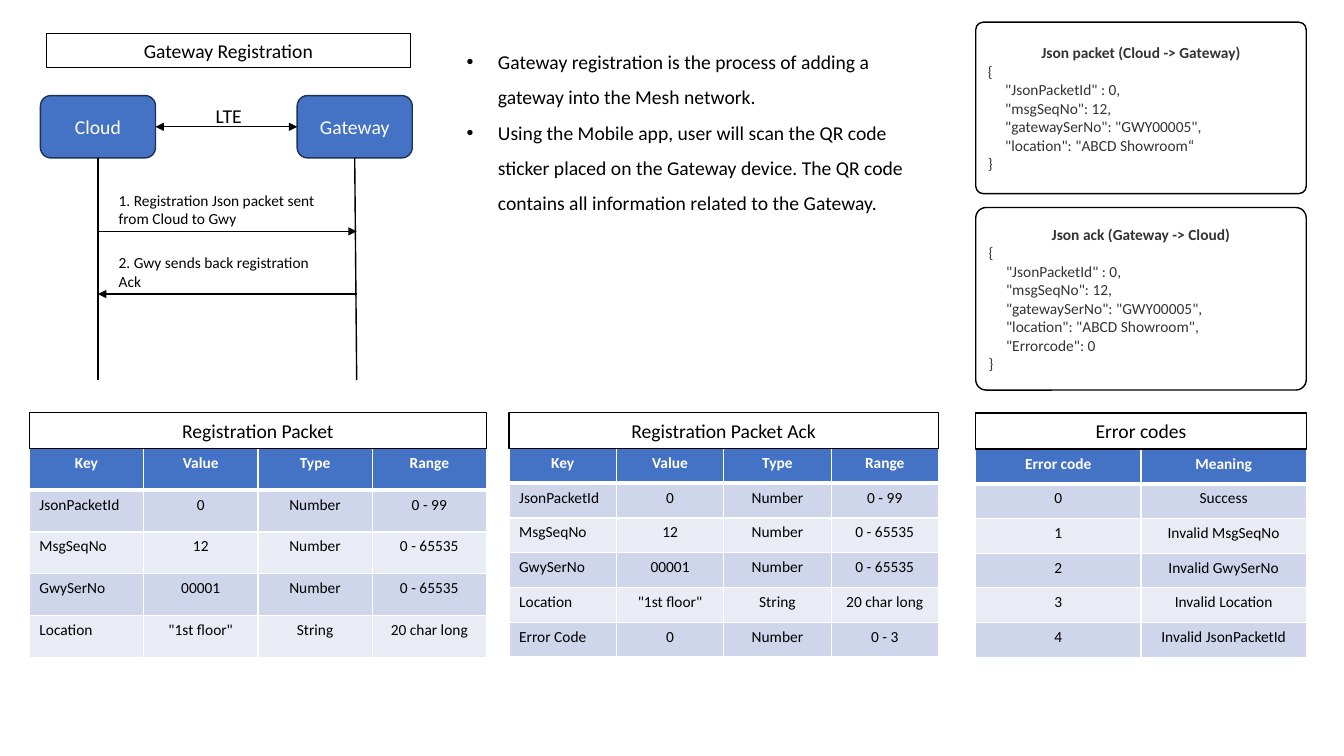
from dataclasses import dataclass

from lxml import etree
from pptx import Presentation
from pptx.dml.color import RGBColor
from pptx.enum.shapes import MSO_CONNECTOR, MSO_SHAPE
from pptx.enum.text import MSO_ANCHOR, PP_ALIGN
from pptx.oxml.ns import qn
from pptx.util import Cm, Pt

RECT = MSO_SHAPE.RECTANGLE
ROUNDED = MSO_SHAPE.ROUNDED_RECTANGLE
STRAIGHT = MSO_CONNECTOR.STRAIGHT
LEFT = PP_ALIGN.LEFT
CENTER = PP_ALIGN.CENTER
TOP = MSO_ANCHOR.TOP
MIDDLE = MSO_ANCHOR.MIDDLE


@dataclass(frozen=True)
class Theme:
    font: str = "Calibri"
    heading: int = 14
    body: int = 11
    black: str = "000000"
    white: str = "FFFFFF"
    code: str = "333333"
    blue: str = "4472C4"
    blue_edge: str = "1E3256"
    band_dark: str = "CFD5EA"
    band_light: str = "E9EBF5"
    line: int = 1
    header_line: int = 3


THEME = Theme()


def rgb(value):
    return RGBColor.from_string(value)


def style(p, size, color=THEME.black, align=LEFT, bold=False):
    p.alignment = align
    for r in p.runs:
        r.font.name = THEME.font
        r.font.size = Pt(size)
        r.font.bold = bold
        r.font.color.rgb = rgb(color)


def add_label(s, box, text, size=THEME.heading, align=CENTER):
    tf = s.shapes.add_textbox(*map(Cm, box)).text_frame
    tf.word_wrap = True
    tf.text = text
    for p in tf.paragraphs:
        style(p, size, align=align)
    return tf


def add_box(s, box, text, kind=RECT, fill=THEME.white, edge=THEME.black, color=THEME.black):
    sp = s.shapes.add_shape(kind, *map(Cm, box))
    sp.shadow.inherit = False
    sp.fill.solid()
    sp.fill.fore_color.rgb = rgb(fill)
    sp.line.color.rgb = rgb(edge)
    sp.line.width = Pt(THEME.line)
    tf = sp.text_frame
    tf.word_wrap = True
    tf.vertical_anchor = MIDDLE
    tf.text = text
    for p in tf.paragraphs:
        style(p, THEME.heading, color, CENTER)
    return sp


def add_line(s, start, end, arrows=()):
    line = s.shapes.add_connector(STRAIGHT, *map(Cm, (*start, *end)))
    line.line.color.rgb = rgb(THEME.black)
    line.line.width = Pt(THEME.line)
    ln = line.line._get_or_add_ln()
    for arrow in arrows:
        etree.SubElement(ln, qn(f"a:{arrow}"), type="triangle")
    etree.SubElement(line._element.spPr, qn("a:effectLst"))


def add_sequence(s, box, title, link, messages):
    x, y, w, h = box
    node_w, node_h = 2.9, 1.57
    node_y = y + 1.57
    gateway_x = x + w - node_w
    add_box(s, (x + 0.15, y, w - 0.2, 0.86), title)
    for name, left in (("Cloud", x), ("Gateway", gateway_x)):
        add_box(s, (left, node_y, node_w, node_h), name, ROUNDED,
                THEME.blue, THEME.blue_edge, THEME.white)

    cloud_line, gateway_line = x + node_w / 2, gateway_x + node_w / 2
    life_y = node_y + node_h
    add_line(s, (cloud_line, life_y), (cloud_line, y + h))
    add_line(s, (gateway_line, life_y), (gateway_line + 0.05, y + h))

    link_y = node_y + node_h / 2
    add_line(s, (x + node_w, link_y), (gateway_x, link_y), ("headEnd", "tailEnd"))
    add_label(s, (x + 3.68, node_y + 0.08, 2.13, 0.86), link)

    ends = [(cloud_line), (gateway_line + 0.05)]
    for i, text in enumerate(messages):
        message_y = life_y + 1.85 + i * 1.58
        start, end = ends if i % 2 == 0 else ends[::-1]
        add_line(s, (start, message_y), (end, message_y), ("tailEnd",))
        add_label(s, (cloud_line + 0.27, message_y - 1.15, 5.82, 1.19),
                  text, THEME.body, LEFT)


def add_bullets(s, box, items):
    tf = add_label(s, box, "\n".join(items), align=LEFT)
    for p in tf.paragraphs:
        pPr = p._p.get_or_add_pPr()
        pPr.set("marL", str(Cm(0.79)))
        pPr.set("indent", str(-Cm(0.79)))
        etree.SubElement(pPr, qn("a:buFont"), typeface="Arial")
        etree.SubElement(pPr, qn("a:buChar"), char="•")
        p.line_spacing = 1.5


def add_json(s, box, title, fields, radius):
    lines = [title, "{", *("     " + field for field in fields), "}"]
    sp = add_box(s, box, "\n".join(lines), ROUNDED)
    sp.adjustments[0] = radius
    heading, *code = sp.text_frame.paragraphs
    style(heading, THEME.body, THEME.code, CENTER, True)
    for p in code:
        style(p, THEME.body, THEME.code)


def set_borders(cell, row):
    tcPr = cell._tc.get_or_add_tcPr()
    widths = {"lnL": THEME.line, "lnR": THEME.line,
              "lnT": THEME.header_line if row == 1 else THEME.line,
              "lnB": THEME.header_line if row == 0 else THEME.line}
    for i, (side, width) in enumerate(widths.items()):
        ln = etree.Element(qn(f"a:{side}"), w=str(Pt(width)))
        fill = etree.SubElement(ln, qn("a:solidFill"))
        etree.SubElement(fill, qn("a:srgbClr"), val=THEME.white)
        tcPr.insert(i, ln)


def add_field_table(s, box, title, rows, key_align=LEFT):
    x, y, w, h = box
    title_h = 0.91
    n_cols = len(rows[0])
    table = s.shapes.add_table(
        len(rows), n_cols, *map(Cm, (x, y + title_h, w, h - title_h))).table
    for column in table.columns:
        column.width = Cm(w / n_cols)
    for i, values in enumerate(rows):
        table.rows[i].height = Cm((h - title_h) / len(rows))
        band = THEME.band_dark if i % 2 else THEME.band_light
        for j, value in enumerate(values):
            cell = table.cell(i, j)
            cell.vertical_anchor = TOP
            cell.fill.solid()
            cell.fill.fore_color.rgb = rgb(band if i else THEME.blue)
            set_borders(cell, i)
            cell.text_frame.text = value
            style(cell.text_frame.paragraphs[0], THEME.body,
                  THEME.black if i else THEME.white,
                  key_align if i and j == 0 else CENTER, i == 0)
    add_box(s, (x, y, w, title_h), title)


def build_slide(prs):
    s = prs.slides.add_slide(prs.slide_layouts[6])
    add_sequence(s, (1.02, 0.84, 9.37, 8.74), "Gateway Registration", "LTE", [
        "1. Registration Json packet sent from Cloud to Gwy",
        "2. Gwy sends back registration Ack"])
    add_bullets(s, (11.51, 0.84, 12.14, 4.65), [
        "Gateway registration is the process of adding a gateway into the Mesh network.",
        "Using the Mobile app, user will scan the QR code sticker placed on the Gateway "
        "device. The QR code contains all information related to the Gateway."])

    common = ['"JsonPacketId" : 0,', '"msgSeqNo": 12,', '"gatewaySerNo": "GWY00005",']
    add_json(s, (24.59, 0.56, 8.33, 4.32), "Json packet (Cloud -> Gateway)",
             [*common, '"location": "ABCD Showroom“'], 0.044)
    add_json(s, (24.59, 5.23, 8.33, 4.6), "Json ack (Gateway -> Cloud)",
             [*common, '"location": "ABCD Showroom",', '"Errorcode": 0'], 0.057)

    packet = [("Key", "Value", "Type", "Range"),
              ("JsonPacketId", "0", "Number", "0 - 99"),
              ("MsgSeqNo", "12", "Number", "0 - 65535"),
              ("GwySerNo", "00001", "Number", "0 - 65535"),
              ("Location", '"1st floor"', "String", "20 char long")]
    add_field_table(s, (0.74, 10.39, 11.52, 6.17), "Registration Packet", packet)
    add_field_table(s, (12.83, 10.39, 10.82, 6.17), "Registration Packet Ack",
                    [*packet, ("Error Code", "0", "Number", "0 - 3")])
    meanings = ["Success", "Invalid MsgSeqNo", "Invalid GwySerNo",
                "Invalid Location", "Invalid JsonPacketId"]
    codes = [(str(i), meaning) for i, meaning in enumerate(meanings)]
    add_field_table(s, (24.59, 10.41, 8.33, 6.15), "Error codes",
                    [("Error code", "Meaning"), *codes], CENTER)


def main():
    prs = Presentation()
    prs.slide_width, prs.slide_height = Cm(33.87), Cm(19.05)
    build_slide(prs)
    prs.save("out.pptx")


if __name__ == "__main__":
    main()
